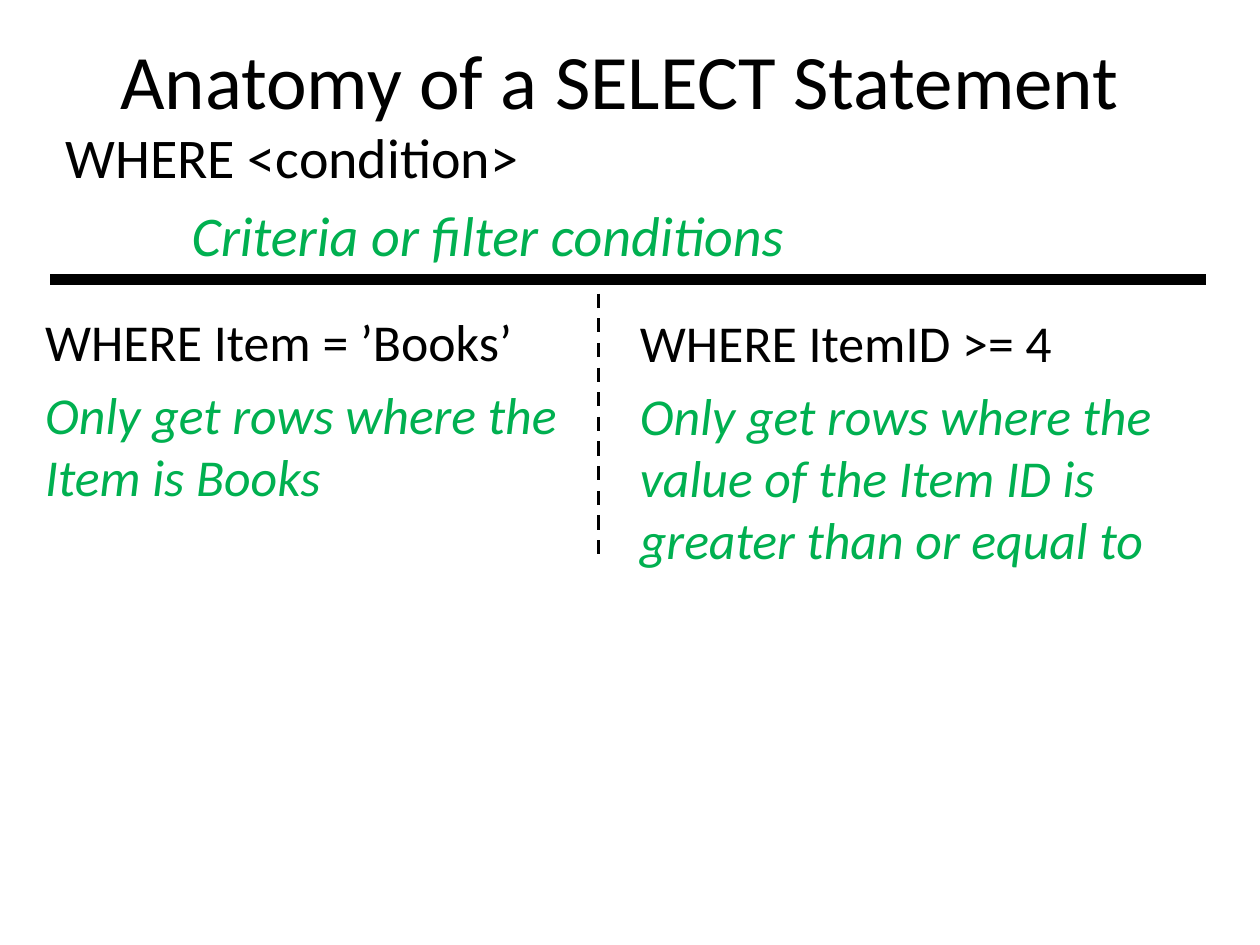
from dataclasses import dataclass

from lxml import etree
from pptx import Presentation
from pptx.dml.color import RGBColor
from pptx.enum.dml import MSO_LINE
from pptx.enum.shapes import MSO_CONNECTOR
from pptx.enum.text import MSO_ANCHOR, MSO_AUTO_SIZE, PP_ALIGN
from pptx.oxml.ns import qn
from pptx.util import Inches, Pt

STRAIGHT = MSO_CONNECTOR.STRAIGHT
DASH = MSO_LINE.DASH
MIDDLE, TOP = MSO_ANCHOR.MIDDLE, MSO_ANCHOR.TOP
CENTER, LEFT = PP_ALIGN.CENTER, PP_ALIGN.LEFT
NO_AUTOFIT = MSO_AUTO_SIZE.NONE


@dataclass(frozen=True)
class Theme:
    font: str = "Calibri"
    ink: RGBColor = RGBColor(0x00, 0x00, 0x00)
    note: RGBColor = RGBColor(0x00, 0xB0, 0x50)
    title_size: float = 44
    body_size: float = 32
    example_size: float = 29.6
    space_share: float = 0.2


THEME = Theme()

TITLE = "Anatomy of a SELECT Statement"
CLAUSE = ("WHERE <condition>", "Criteria or filter conditions")
EXAMPLES = [
    ("WHERE Item = ’Books’", "Only get rows where the Item is Books"),
    ("WHERE ItemID >= 4",
     "Only get rows where the value of the Item ID is greater than or equal to"),
]

# Left, top, width, height in inches
TITLE_BOX = (0.42, 0, 9, 1.25)
CLAUSE_BOX = (0.42, 0.92, 9, 1.42)
EXAMPLE_BOXES = [(0.26, 2.41, 4.67, 1.42), (4.98, 2.42, 4.52, 2)]
NOTE_INDENT = 1

# Start x, start y, end x, end y in inches
HEADER_RULE = (0.4, 2.22, 9.57, 2.22)
COLUMN_DIVIDER = (4.75, 2.33, 4.75, 4.42)


def place(shape, box):
    shape.left, shape.top, shape.width, shape.height = map(Inches, box)


def style(paragraph, size, color, italic=False):
    font = paragraph.font
    font.name, font.size, font.italic = THEME.font, Pt(size), italic
    font.color.rgb = color


def write_clause(shape, lines, size, note_indent=0):
    """Fill a shape with a black clause and its green italic explanation."""
    text_frame = shape.text_frame
    text_frame.text = "\n".join(lines)
    text_frame.word_wrap = True
    text_frame.auto_size = NO_AUTOFIT
    text_frame.vertical_anchor = TOP
    clause, note = text_frame.paragraphs
    for paragraph, indent in ((clause, 0), (note, note_indent)):
        properties = paragraph._p.get_or_add_pPr()
        properties.set("marL", str(Inches(indent)))
        properties.set("indent", "0")
        etree.SubElement(properties, qn("a:buNone"))
        paragraph.alignment = LEFT
    clause.space_before = Pt(0)
    note.space_before = Pt(round(size * THEME.space_share, 1))
    style(clause, size, THEME.ink)
    style(note, size, THEME.note, italic=True)


def add_rule(slide, ends, width, dash=None):
    rule = slide.shapes.add_connector(STRAIGHT, *map(Inches, ends))
    rule.line.color.rgb = THEME.ink
    rule.line.width = Pt(width)
    if dash:
        rule.line.dash_style = dash
    etree.SubElement(rule._element.spPr, qn("a:effectLst"))


def main():
    presentation = Presentation()
    presentation.slide_width, presentation.slide_height = Inches(10), Inches(7.5)
    slide = presentation.slides.add_slide(presentation.slide_layouts[1])
    title, body = slide.placeholders

    place(title, TITLE_BOX)
    title.text_frame.text = TITLE
    title.text_frame.vertical_anchor = MIDDLE
    heading = title.text_frame.paragraphs[0]
    heading.alignment = CENTER
    style(heading, THEME.title_size, THEME.ink)

    place(body, CLAUSE_BOX)
    write_clause(body, CLAUSE, THEME.body_size, NOTE_INDENT)

    for lines, box in zip(EXAMPLES, EXAMPLE_BOXES):
        example = slide.shapes.add_textbox(*map(Inches, box))
        write_clause(example, lines, THEME.example_size)

    add_rule(slide, HEADER_RULE, 6)
    add_rule(slide, COLUMN_DIVIDER, 2, DASH)
    presentation.save("out.pptx")


if __name__ == "__main__":
    main()
